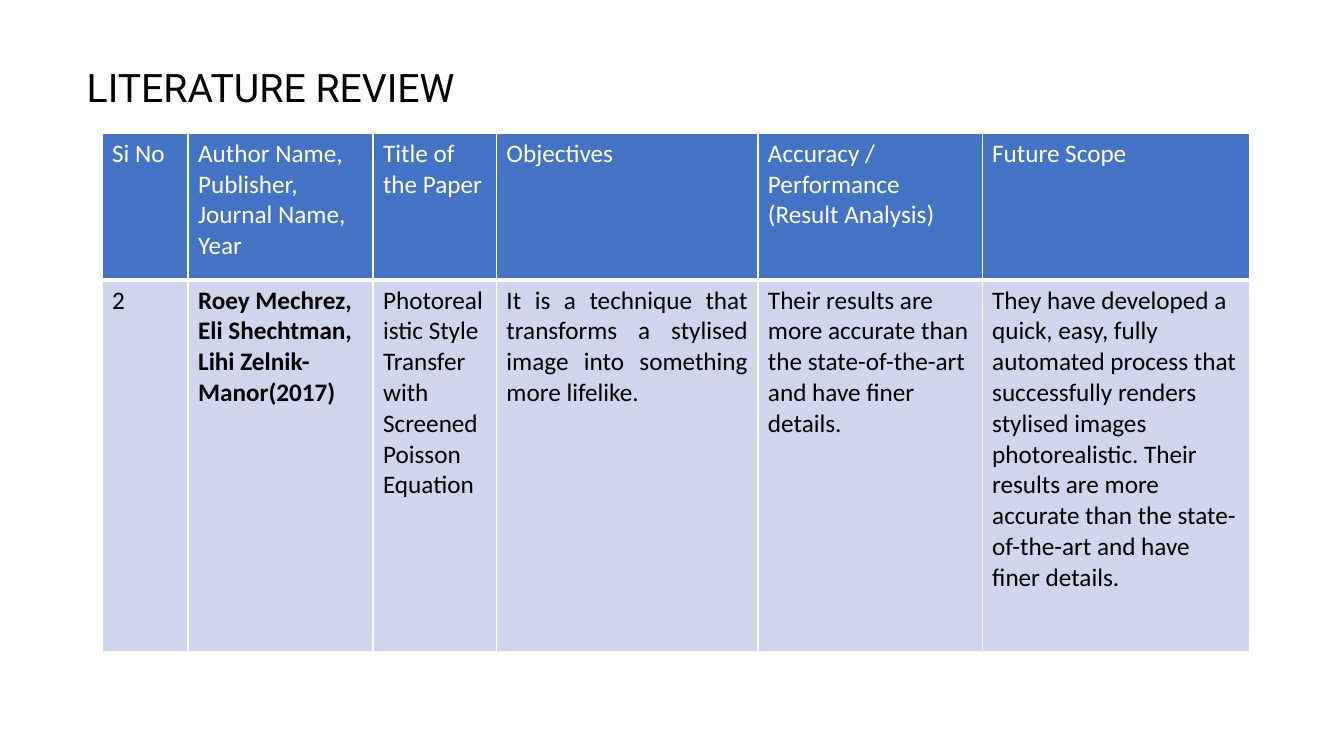
from lxml.etree import SubElement
from pptx import Presentation
from pptx.dml.color import RGBColor
from pptx.enum.text import MSO_ANCHOR as Anchor, PP_ALIGN as Align
from pptx.oxml.ns import qn
from pptx.util import Cm, Pt

BLACK = RGBColor(0x00, 0x00, 0x00)
WHITE = RGBColor(0xFF, 0xFF, 0xFF)
HEADER_BLUE = RGBColor(0x44, 0x72, 0xC4)
BODY_BLUE = RGBColor(0xCF, 0xD5, 0xEA)

TITLE_FONT = {"name": "Roboto", "size": Pt(28), "bold": False}
HEADER_FONT = {"name": "Calibri", "size": Pt(18), "bold": False}
BODY_FONT = {"name": "Calibri", "size": Pt(18), "bold": False}
AUTHOR_FONT = {**BODY_FONT, "bold": True}

# Column width in cm, heading, entry, entry font, entry alignment
COLUMNS = [
    (2.17, "Si No", "2", BODY_FONT, Align.LEFT),
    (4.66, "Author Name, Publisher, Journal Name, Year",
     "Roey Mechrez, Eli Shechtman, Lihi Zelnik-Manor(2017)",
     AUTHOR_FONT, Align.LEFT),
    (3.11, "Title of the Paper",
     "Photorealistic Style Transfer with Screened Poisson Equation",
     BODY_FONT, Align.LEFT),
    (6.59, "Objectives",
     "It is a technique that transforms a stylised image into something "
     "more lifelike.", BODY_FONT, Align.JUSTIFY),
    (5.65, "Accuracy / Performance (Result Analysis)",
     "Their results are more accurate than the state-of-the-art and have "
     "finer details.", BODY_FONT, Align.LEFT),
    (6.74, "Future Scope",
     "They have developed a quick, easy, fully automated process that "
     "successfully renders stylised images photorealistic. Their results are "
     "more accurate than the state-of-the-art and have finer details.",
     BODY_FONT, Align.LEFT),
]
ROW_HEIGHTS = [3.7, 9.37]


def write_text(text_frame, text, font_format, color, alignment):
    paragraph = text_frame.paragraphs[0]
    paragraph.alignment = alignment
    run = paragraph.add_run()
    run.text = text
    for name, value in font_format.items():
        setattr(run.font, name, value)
    run.font.color.rgb = color
    return paragraph


def add_borders(cell, bottom_width):
    properties = cell._tc.get_or_add_tcPr()
    for side, width in (("L", 1), ("R", 1), ("T", 1), ("B", bottom_width)):
        line = SubElement(properties, qn(f"a:ln{side}"), w=str(Pt(width)))
        fill = SubElement(line, qn("a:solidFill"))
        SubElement(fill, qn("a:srgbClr"), val=str(WHITE))


def format_cell(cell, text, font_format, color, alignment, fill, bottom_width):
    write_text(cell.text_frame, text, font_format, color, alignment)
    add_borders(cell, bottom_width)
    cell.fill.solid()
    cell.fill.fore_color.rgb = fill


def add_title(slide, text):
    title = slide.shapes.title
    position = {"left": Cm(1.93), "top": Cm(1.09),
                "width": Cm(22.58), "height": Cm(2.34)}
    for name, value in position.items():
        setattr(title, name, value)
    title.text_frame.vertical_anchor = Anchor.MIDDLE
    paragraph = write_text(title.text_frame, text, TITLE_FONT, BLACK, Align.LEFT)
    paragraph.line_spacing = 0.9


def add_review_table(slide):
    width = sum(column[0] for column in COLUMNS)
    table = slide.shapes.add_table(
        len(ROW_HEIGHTS), len(COLUMNS),
        Cm(2.57), Cm(3.36), Cm(width), Cm(sum(ROW_HEIGHTS))).table
    for row, height in zip(table.rows, ROW_HEIGHTS):
        row.height = Cm(height)
    for index, (width, heading, entry, font, alignment) in enumerate(COLUMNS):
        table.columns[index].width = Cm(width)
        format_cell(table.cell(0, index), heading, HEADER_FONT, WHITE,
                    Align.LEFT, HEADER_BLUE, 3)
        format_cell(table.cell(1, index), entry, font, BLACK,
                    alignment, BODY_BLUE, 1)


def main():
    presentation = Presentation()
    presentation.slide_width = Cm(33.87)
    presentation.slide_height = Cm(19.05)

    # Title-only layout
    slide = presentation.slides.add_slide(presentation.slide_layouts[5])
    add_title(slide, "LITERATURE REVIEW")
    add_review_table(slide)

    presentation.save("out.pptx")


if __name__ == "__main__":
    main()
